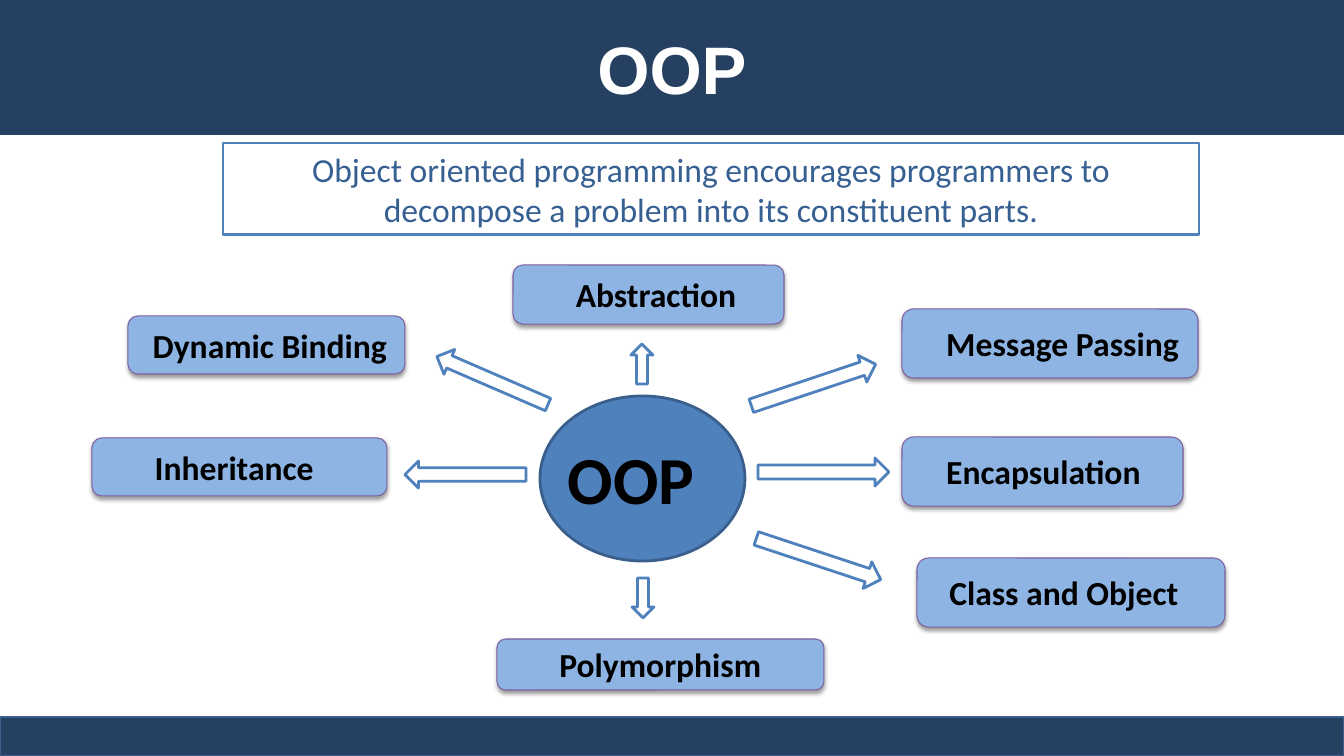
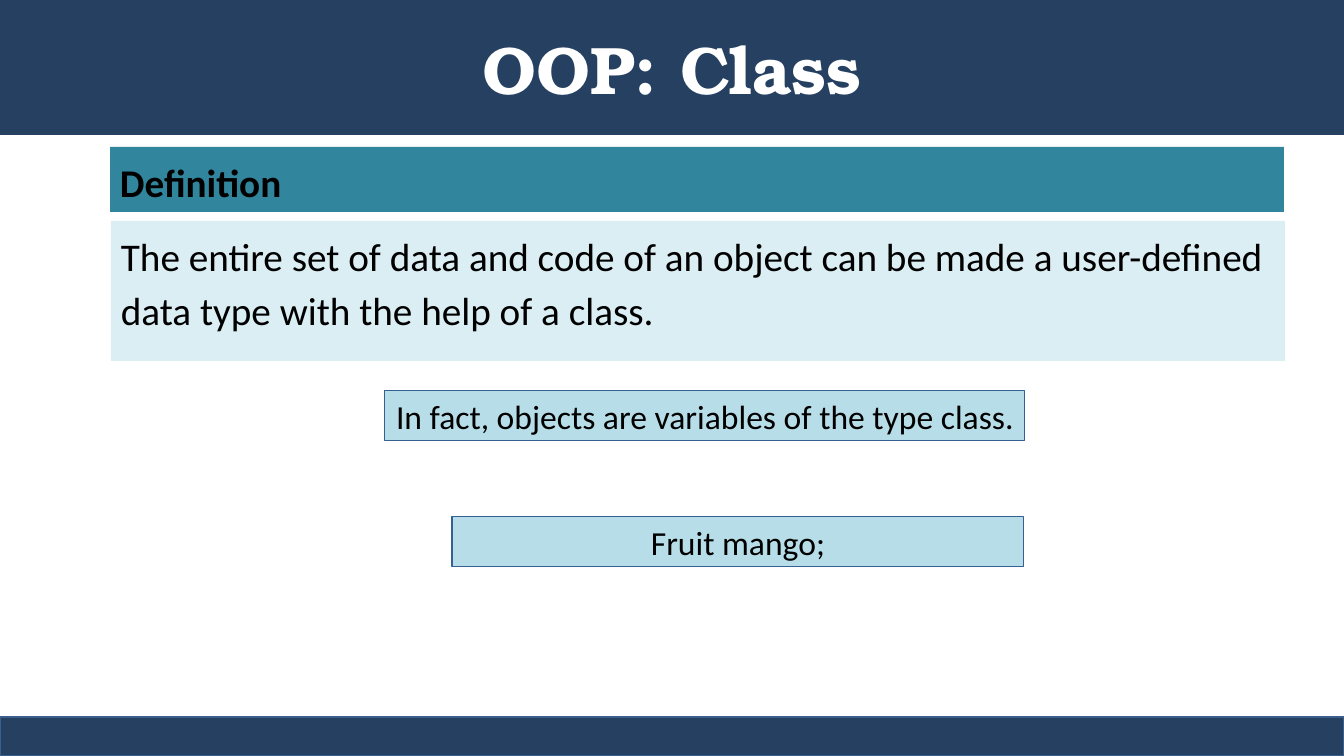
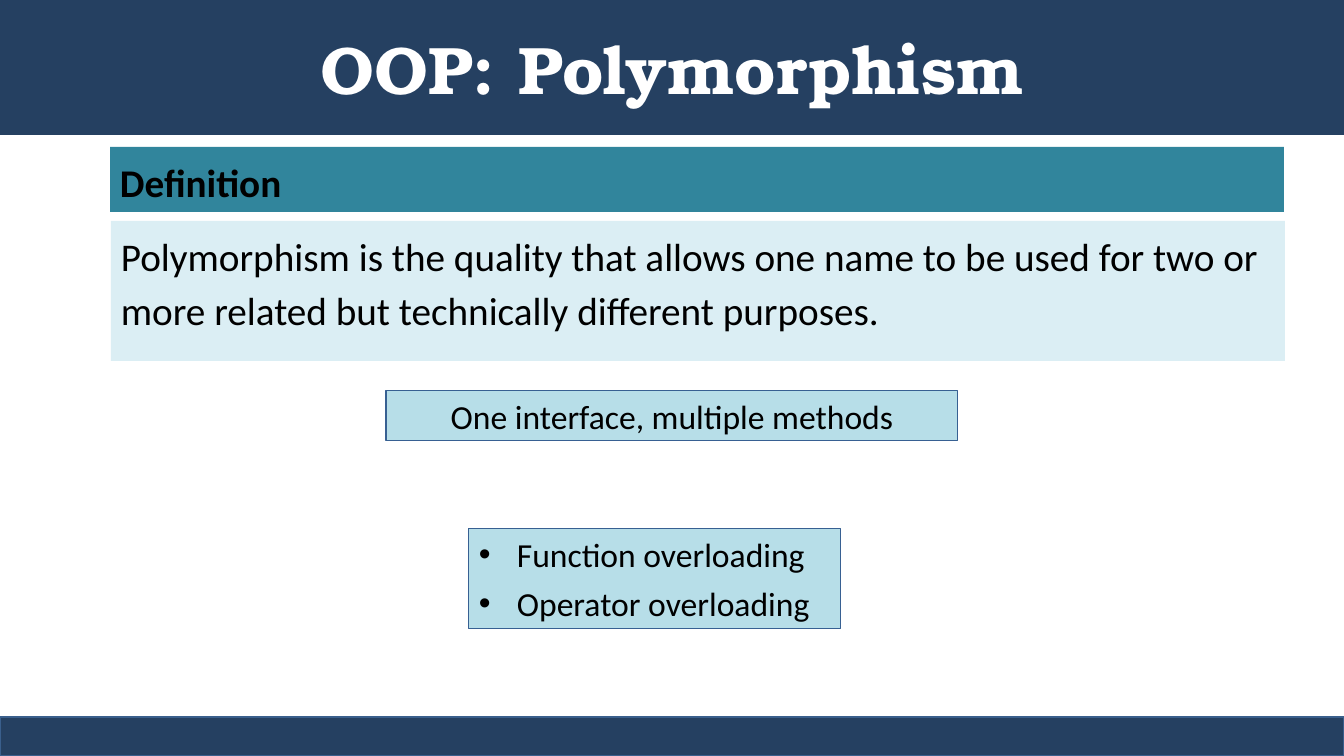
"""Build three slides on object oriented programming."""
import pptx
import pptx.dml.color
import pptx.enum.shapes
import pptx.enum.text
import pptx.oxml
import pptx.oxml.ns
import pptx.util

PX = 914400 / 100.8
W, H = 1344, 756
C = {
    "navy": "254061", "edge": "3A5F8C", "blue": "4F81BD", "ink": "376092",
    "node": "8EB4E3", "purple": "7D60A0", "teal": "31859C", "pale": "DBEEF4",
    "aqua": "B7DEE8", "white": "FFFFFF", "black": "000000",
}
MSO = pptx.enum.shapes.MSO_SHAPE
ALIGN = pptx.enum.text.PP_ALIGN
ANCHOR = pptx.enum.text.MSO_ANCHOR
RGB = pptx.dml.color.RGBColor.from_string
Pt = pptx.util.Pt
NS = pptx.oxml.ns.nsdecls("a")
SHADOW = (
    f'<a:outerShdw {NS} blurRad="39370" dist="20320" dir="5400000" rotWithShape="0">'
    f'<a:srgbClr val="{C["black"]}"><a:alpha val="38000"/></a:srgbClr></a:outerShdw>'
)


def add_box(s, box, kind=MSO.RECTANGLE, fill=None, line=None, width=2, rot=0, shadow=False):
    """Add a preset shape with its box in px."""
    sp = s.shapes.add_shape(kind, *(round(v * PX) for v in box))
    sp.rotation = rot
    sp.shadow.inherit = False
    if shadow:
        effects = sp._element.spPr.find(pptx.oxml.ns.qn("a:effectLst"))
        effects.append(pptx.oxml.parse_xml(SHADOW))
    if fill:
        sp.fill.solid()
        sp.fill.fore_color.rgb = RGB(C[fill])
    else:
        sp.fill.background()
    if line:
        sp.line.color.rgb = RGB(C[line])
        sp.line.width = Pt(width)
    else:
        sp.line.fill.background()
    return sp


def add_text(sp, text, size=24, font="Calibri", color="black", bold=False, align=ALIGN.LEFT,
             anchor=ANCHOR.TOP, indent=0, bullet=None, spacing=None, after=0):
    """Write one paragraph per line of text into a shape."""
    tf = sp.text_frame
    tf.word_wrap = True
    tf.vertical_anchor = anchor
    for i, line in enumerate(text.split("\n")):
        p = tf.add_paragraph() if i else tf.paragraphs[0]
        p.alignment = align
        p.space_after = Pt(after)
        if spacing:
            p.line_spacing = spacing
        pPr = p._p.get_or_add_pPr()
        pPr.set("marL", str(round(indent * PX)))
        if bullet:
            pPr.set("indent", str(-round(indent * PX)))
            pPr.append(pptx.oxml.parse_xml(f'<a:buFont {NS} typeface="Arial"/>'))
            pPr.append(pptx.oxml.parse_xml(f'<a:buChar {NS} char="{bullet}"/>'))
        r = p.add_run()
        r.text = line
        r.font.size = Pt(size)
        r.font.name = font
        r.font.bold = bold
        r.font.color.rgb = RGB(C[color])


prs = pptx.Presentation()
prs.slide_width = round(W * PX)
prs.slide_height = round(H * PX)

slides = []
for title, font in [("OOP", "Arial"), ("OOP: Class", "TeX Gyre Bonum"),
                    ("OOP: Polymorphism", "TeX Gyre Bonum")]:
    s = prs.slides.add_slide(prs.slide_layouts[6])
    sp = add_box(s, (0, 0, W, 135), fill="navy")
    add_text(sp, title, size=48, font=font, color="white", bold=True,
             align=ALIGN.CENTER, anchor=ANCHOR.MIDDLE)
    add_box(s, (0, 717, W, 39), fill="navy", line="edge")
    slides.append(s)

s = slides[0]
sp = add_box(s, (223, 143, 976, 92), fill="white", line="blue")
add_text(sp, "Object oriented programming encourages programmers to decompose a problem "
         "into its constituent parts.", color="ink", align=ALIGN.CENTER, anchor=ANCHOR.MIDDLE)
add_box(s, (540, 396, 205, 165), kind=MSO.OVAL, fill="blue", line="edge")
sp = s.shapes.add_textbox(*(round(v * PX) for v in (558, 432, 167, 92)))
add_text(sp, "OOP", size=48, bold=True)

for text, box, indent in [
    ("Encapsulation", (902, 437, 281, 69), 31),
    ("Abstraction", (513, 265, 271, 59), 50),
    ("Polymorphism", (497, 639, 327, 51), 50),
    ("Inheritance", (92, 438, 295, 58), 50),
    ("Class and Object", (917, 558, 308, 69), 19),
    ("Dynamic Binding", (128, 316, 277, 58), 12),
    ("Message Passing", (902, 309, 296, 69), 31),
]:
    sp = add_box(s, box, kind=MSO.ROUNDED_RECTANGLE, fill="node", line="purple",
                 width=0.75, shadow=True)
    add_text(sp, text, bold=True, indent=indent, anchor=ANCHOR.MIDDLE)

for box, rot in [
    ((758, 458, 131, 28), 0),
    ((753, 545, 131, 28), 18.3),
    ((623, 587, 40, 22), 90),
    ((405, 461, 121, 27), 180),
    ((432, 367, 121, 27), 203.4),
    ((622, 353, 40, 22), 270),
    ((748, 371, 131, 28), 341.5),
]:
    add_box(s, box, kind=MSO.RIGHT_ARROW, fill="white", line="blue", rot=rot)

for s, definition, notes in [
    (slides[1],
     "The entire set of data and code of an object can be made a user-defined data type "
     "with the help of a class.",
     [("In fact, objects are variables of the type class.", (385, 391, 640, 50), {}),
      ("Fruit mango;", (452, 517, 572, 50), {})]),
    (slides[2],
     "Polymorphism is the quality that allows one name to be used for two or more related "
     "but technically different purposes.",
     [("One interface, multiple methods", (386, 391, 572, 50), {}),
      ("Function overloading\nOperator overloading", (469, 529, 372, 100),
       {"align": ALIGN.LEFT, "indent": 38, "bullet": "•"})]),
]:
    sp = add_box(s, (110, 147, 1174, 65), fill="teal")
    add_text(sp, "Definition", size=28, bold=True, spacing=1.14)
    sp = add_box(s, (111, 221, 1174, 140), fill="pale")
    add_text(sp, definition, size=28, spacing=1.14)
    for text, box, fmt in notes:
        sp = add_box(s, box, fill="aqua", line="ink", width=0.75)
        add_text(sp, text, **{"align": ALIGN.CENTER, "after": 6, **fmt})

prs.save("out.pptx")
